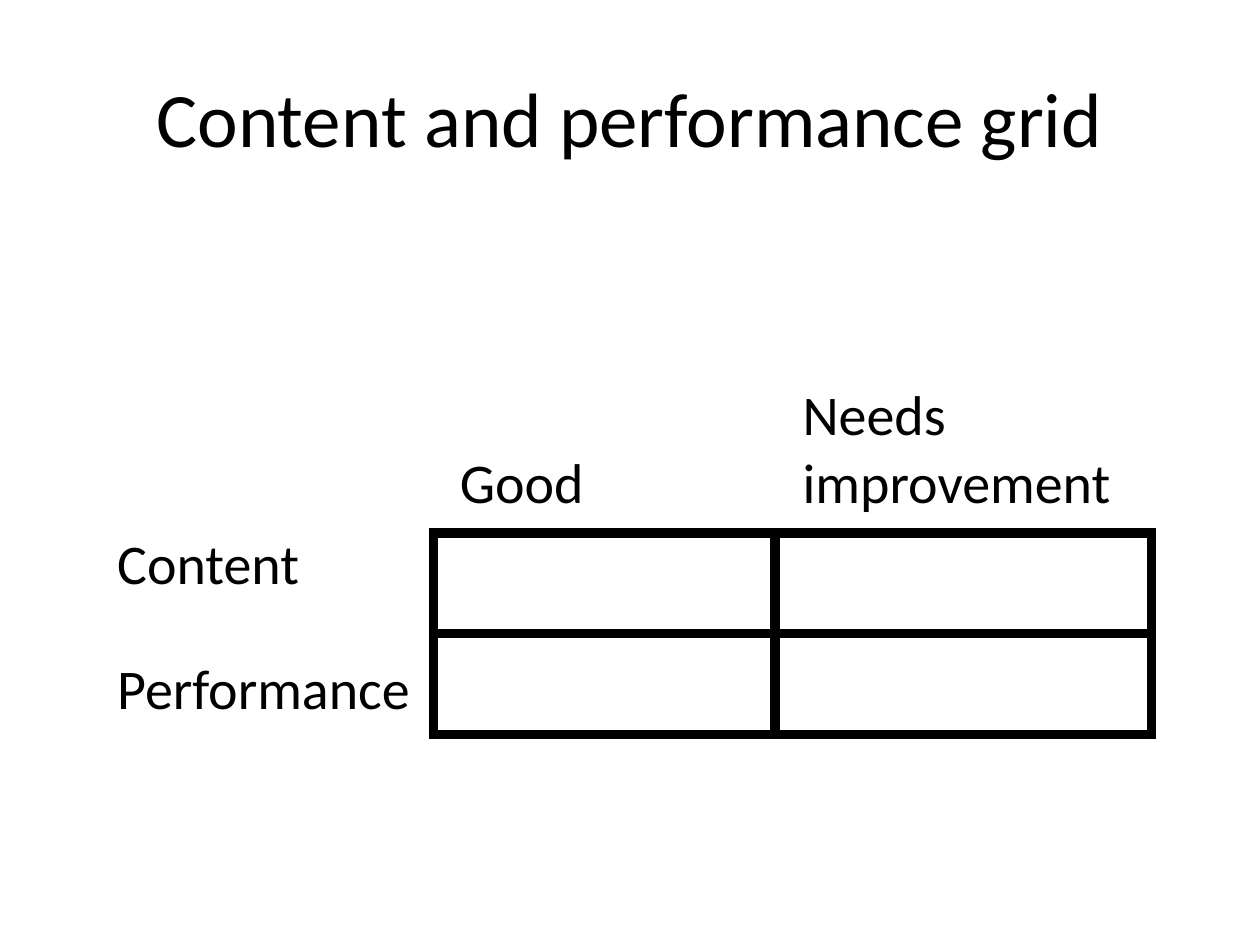
import dataclasses

import pptx
import pptx.dml.color
import pptx.enum.text
import pptx.oxml
import pptx.oxml.ns
import pptx.util
from pptx.util import Inches


@dataclasses.dataclass(frozen=True)
class Theme:
    font: str = "Calibri"
    ink: str = "000000"
    title_size: int = 44
    label_size: int = 32
    border_width: int = 6
    plain_table_style: str = "{2D5ABB26-0587-4C30-8999-92F81FD0307C}"


THEME = Theme()


def style_paragraph(paragraph, size):
    paragraph.font.name = THEME.font
    paragraph.font.size = pptx.util.Pt(size)
    paragraph.font.color.rgb = pptx.dml.color.RGBColor.from_string(THEME.ink)


def add_title(slide, box, wording):
    title = slide.shapes.title
    title.left, title.top, title.width, title.height = box
    title.text_frame.text = wording
    title.text_frame.vertical_anchor = pptx.enum.text.MSO_ANCHOR.MIDDLE
    heading = title.text_frame.paragraphs[0]
    heading.alignment = pptx.enum.text.PP_ALIGN.CENTER
    style_paragraph(heading, THEME.title_size)


def add_plain_table(slide, left, top, widths, heights):
    frame = slide.shapes.add_table(
        len(heights), len(widths), left, top, sum(widths), sum(heights)
    )
    table = frame.table
    table.first_row = table.horz_banding = False
    style_id = table._tbl.tblPr.find(pptx.oxml.ns.qn("a:tableStyleId"))
    style_id.text = THEME.plain_table_style
    for column, width in zip(table.columns, widths):
        column.width = width
    for row, height in zip(table.rows, heights):
        row.height = height
    for cell in table.iter_cells():
        cell.fill.background()
    return table


def add_labels(slide, left, top, widths, heights, wording):
    labels = add_plain_table(slide, left, top, widths, heights)
    for (row, column), label in wording.items():
        cell = labels.cell(row, column)
        cell.text = label
        if row == 0:
            cell.vertical_anchor = pptx.enum.text.MSO_ANCHOR.BOTTOM
        style_paragraph(cell.text_frame.paragraphs[0], THEME.label_size)


def add_border(cell):
    properties = cell._tc.get_or_add_tcPr()
    width = pptx.util.Pt(THEME.border_width)
    for position, side in enumerate(("lnL", "lnR", "lnT", "lnB")):
        line = pptx.oxml.parse_xml(
            f'<a:{side} {pptx.oxml.ns.nsdecls("a")} w="{width}">'
            f'<a:solidFill><a:srgbClr val="{THEME.ink}"/></a:solidFill>'
            f"</a:{side}>"
        )
        properties.insert(position, line)


def add_grid(slide, left, top, widths, heights):
    grid = add_plain_table(slide, left, top, widths, heights)
    for cell in grid.iter_cells():
        add_border(cell)


def build_grid_slide(deck):
    slide = deck.slides.add_slide(deck.slide_layouts[5])
    title_box = (Inches(0.5), Inches(0.3), Inches(9), Inches(1.25))
    add_title(slide, title_box, "Content and performance grid")
    add_labels(
        slide,
        Inches(0.83),
        Inches(2.98),
        [Inches(2.72)] * 3,
        [Inches(1.16), Inches(0.99), Inches(0.99)],
        {
            (0, 1): "Good",
            (0, 2): "Needs improvement",
            (1, 0): "Content",
            (2, 0): "Performance",
        },
    )
    add_grid(
        slide,
        Inches(3.44),
        Inches(4.23),
        [Inches(2.71), Inches(2.99)],
        [Inches(0.8)] * 2,
    )


deck = pptx.Presentation()
deck.slide_width, deck.slide_height = Inches(10), Inches(7.5)
build_grid_slide(deck)
deck.save("out.pptx")
